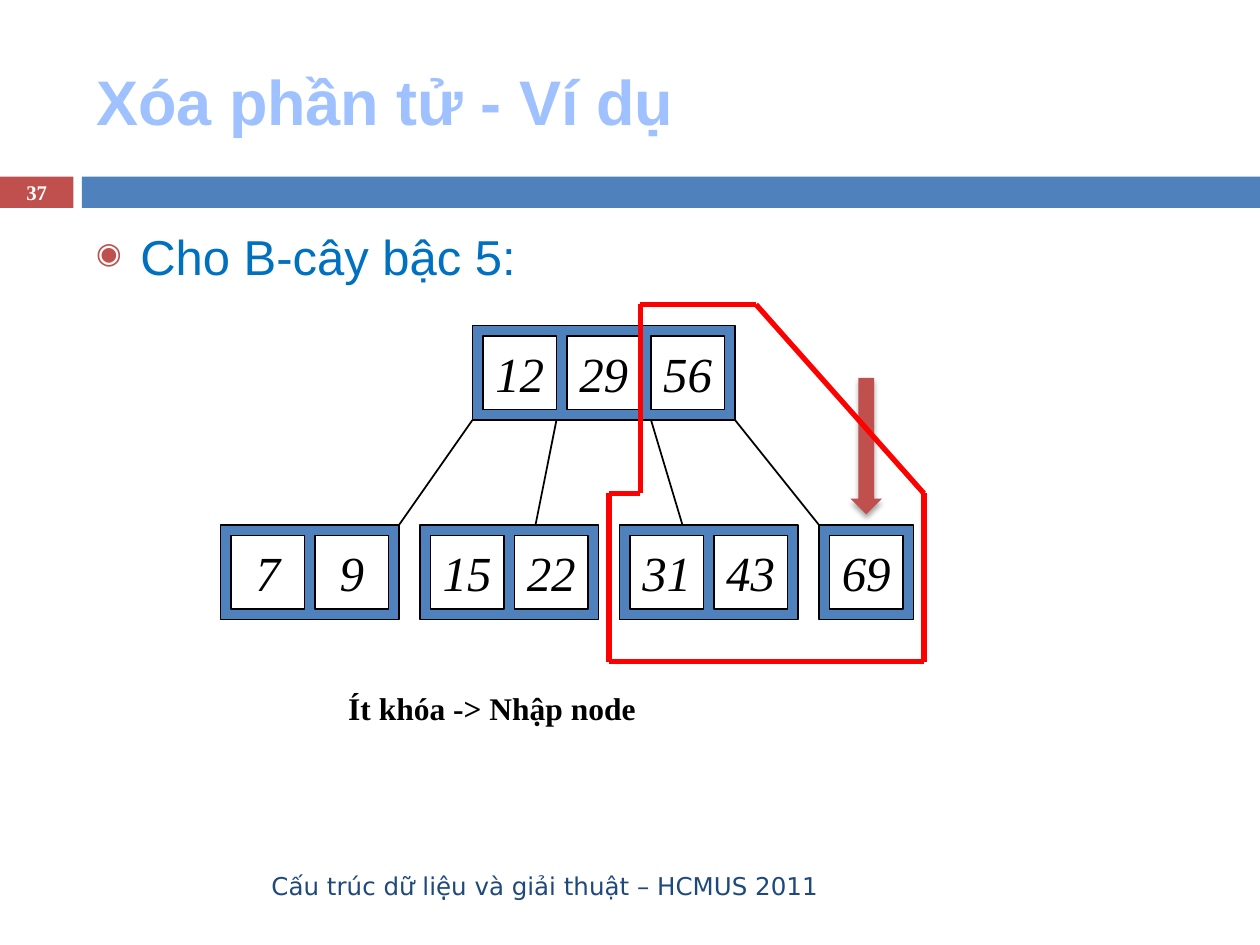
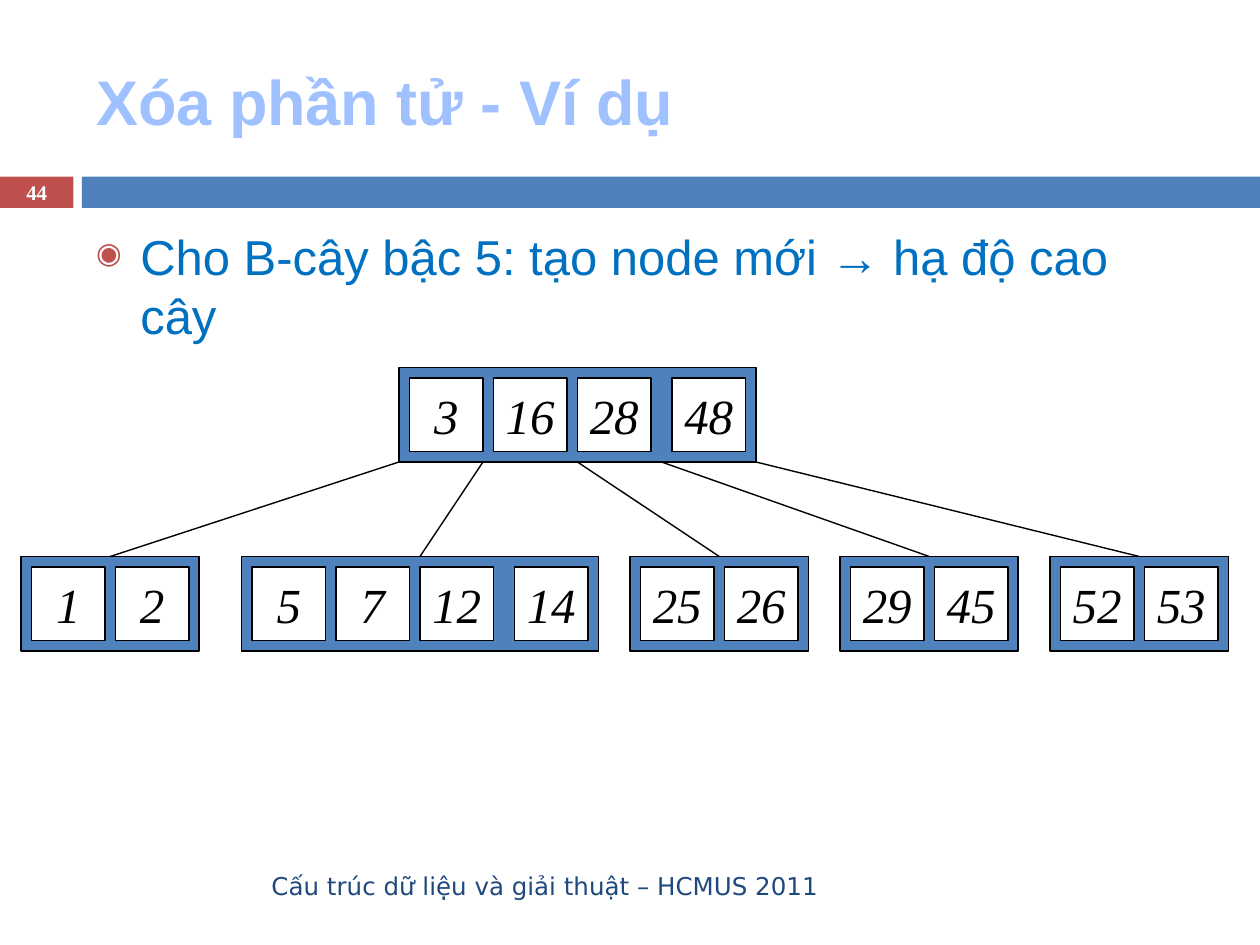
from itertools import pairwise
from lxml.etree import SubElement
from pptx import Presentation
from pptx.dml.color import RGBColor
from pptx.enum.shapes import MSO_CONNECTOR, MSO_SHAPE
from pptx.enum.text import MSO_ANCHOR, PP_ALIGN
from pptx.oxml.ns import qn
from pptx.util import Cm, Pt

RED, BLUE, WHITE, BLACK = "C0504D", "4F81BD", "FFFFFF", "000000"
SERIF = "Times New Roman"
TITLE = "Xóa phần tử - Ví dụ"
FOOTER = "Cấu trúc dữ liệu và giải thuật – HCMUS 2011"
CELL, PAD = 7, 1
STEP, TALL = CELL + PAD, CELL + 2 * PAD


def color(text):
    return RGBColor.from_string(text)


def grid(count):
    """Length of a number of twelfths of an inch, the unit of the trees."""
    return Cm(count * 2.54 / 12)


def write(shape, text, size, font, ink, bold=False, italic=False,
          align=PP_ALIGN.LEFT, anchor=MSO_ANCHOR.MIDDLE, wrap=True):
    frame = shape.text_frame
    frame.word_wrap = wrap
    frame.vertical_anchor = anchor
    para = frame.paragraphs[0]
    para.text = text
    para.alignment = align
    style = para.font
    style.size, style.name = Pt(size), font
    style.bold, style.italic = bold, italic
    style.color.rgb = color(ink)
    return para


def add_text(slide, box, *args, **opts):
    shape = slide.shapes.add_textbox(*map(Cm, box))
    return write(shape, *args, **opts)


def add_block(slide, kind, box, fill, line=None):
    shape = slide.shapes.add_shape(kind, *box)
    shape.shadow.inherit = False
    shape.fill.solid()
    shape.fill.fore_color.rgb = color(fill)
    if line:
        shape.line.color.rgb = color(line)
        shape.line.width = Pt(1)
    else:
        shape.line.fill.background()
    return shape


def add_line(slide, start, end, ink=BLACK, width=1):
    line = slide.shapes.add_connector(
        MSO_CONNECTOR.STRAIGHT, *map(grid, (*start, *end)))
    line.line.color.rgb = color(ink)
    line.line.width = Pt(width)
    SubElement(line._element.spPr, qn("a:effectLst"))
    return line


def add_bullet(para):
    props = para._p.get_or_add_pPr()
    props.set("marL", str(Cm(0.89)))
    props.set("indent", str(Cm(-0.89)))
    tint = SubElement(props, qn("a:buClr"))
    SubElement(tint, qn("a:srgbClr"), val=RED)
    SubElement(props, qn("a:buSzPct"), val="60000")
    SubElement(props, qn("a:buChar"), char="◉")


def add_frame(deck, number, topic):
    """Add a slide with its title, band, footer and bullet."""
    slide = deck.slides.add_slide(deck.slide_layouts[6])
    for left, width, fill in ((0, 1.48, RED), (1.65, 23.75, BLUE)):
        box = map(Cm, (left, 3.56, width, 0.63))
        add_block(slide, MSO_SHAPE.RECTANGLE, box, fill)
    add_text(slide, (1.69, 0.64, 22.65, 2.75), TITLE, 36, "Arial", "A0C1FF",
             bold=True)
    add_text(slide, (1.69, 17.36, 15.06, 1.01), FOOTER, 14, "DejaVu Sans",
             "1F497D", align=PP_ALIGN.RIGHT)
    add_text(slide, (0, 3.54, 1.48, 0.68), str(number), 11.9, SERIF, WHITE,
             bold=True, align=PP_ALIGN.CENTER)
    para = add_text(slide, (1.69, 4.45, 22.65, 12.5), topic, 28, "Arial",
                    "0070C0", anchor=MSO_ANCHOR.TOP)
    add_bullet(para)
    return slide


def add_node(slide, left, top, keys):
    """Draw a tree node; the fourth key of a full node sits one unit apart."""
    extra = len(keys) // 4
    wide = len(keys) * STEP + PAD + extra
    node = add_block(slide, MSO_SHAPE.RECTANGLE,
                     map(grid, (left, top, wide, TALL)), BLUE, BLACK)
    for i, key in enumerate(keys):
        gap = PAD + i * STEP + (extra if i == 3 else 0)
        box = map(grid, (left + gap, top + PAD, CELL, CELL))
        cell = add_block(slide, MSO_SHAPE.RECTANGLE, box, WHITE, BLACK)
        write(cell, str(key), 28, SERIF, BLACK, italic=True,
              align=PP_ALIGN.CENTER, wrap=False)
    return node


def add_arrow(slide, *box):
    arrow = add_block(slide, MSO_SHAPE.DOWN_ARROW, map(grid, box), RED)
    effects = arrow._element.spPr.find(qn("a:effectLst"))
    shade = SubElement(effects, qn("a:outerShdw"), blurRad=str(Pt(3)),
                       dist=str(Pt(2)), dir="5400000", rotWithShape="0")
    tint = SubElement(shade, qn("a:srgbClr"), val=BLACK)
    SubElement(tint, qn("a:alpha"), val="35000")


def add_loop(slide, points):
    for start, end in pairwise(points + points[:1]):
        add_line(slide, start, end, "FF0000", 3)


def merge_slide(deck):
    slide = add_frame(deck, 37, "Cho B-cây bậc 5:")
    root, leaf = 31, 50
    add_node(slide, 45, root, (12, 29, 56))
    for left, keys in ((21, (7, 9)), (40, (15, 22)), (59, (31, 43)),
                       (78, (69,))):
        add_node(slide, left, leaf, keys)
    for start, end in ((45, 38), (53, 51), (62, 65), (70, 78)):
        add_line(slide, (start, root + TALL), (end, leaf))
    add_text(slide, (6.77, 13.76, 13.55, 1.03), "Ít khóa -> Nhập node", 18,
             SERIF, BLACK, bold=True, anchor=MSO_ANCHOR.TOP)
    add_arrow(slide, 81, 36, 3, 13)
    add_loop(slide, [(61, 29), (72, 29), (88, 47), (88, 63), (58, 63),
                     (58, 47), (61, 47)])


def lower_slide(deck):
    slide = add_frame(deck, 44,
                      "Cho B-cây bậc 5: tạo node mới → hạ độ cao cây")
    root, leaf = 35, 53
    add_node(slide, 38, root, (3, 16, 28, 48))
    leaves = ((2, 38, (1, 2)), (23, 46, (5, 7, 12, 14)), (60, 55, (25, 26)),
              (80, 63, (29, 45)), (100, 72, (52, 53)))
    for left, start, keys in leaves:
        node = add_node(slide, left, leaf, keys)
        link = add_line(slide, (start, root + TALL), (left, leaf), width=0.79)
        link.end_connect(node, 0)


def main():
    deck = Presentation()
    deck.slide_width, deck.slide_height = Cm(25.4), Cm(19.05)
    merge_slide(deck)
    lower_slide(deck)
    deck.save("out.pptx")


if __name__ == "__main__":
    main()
